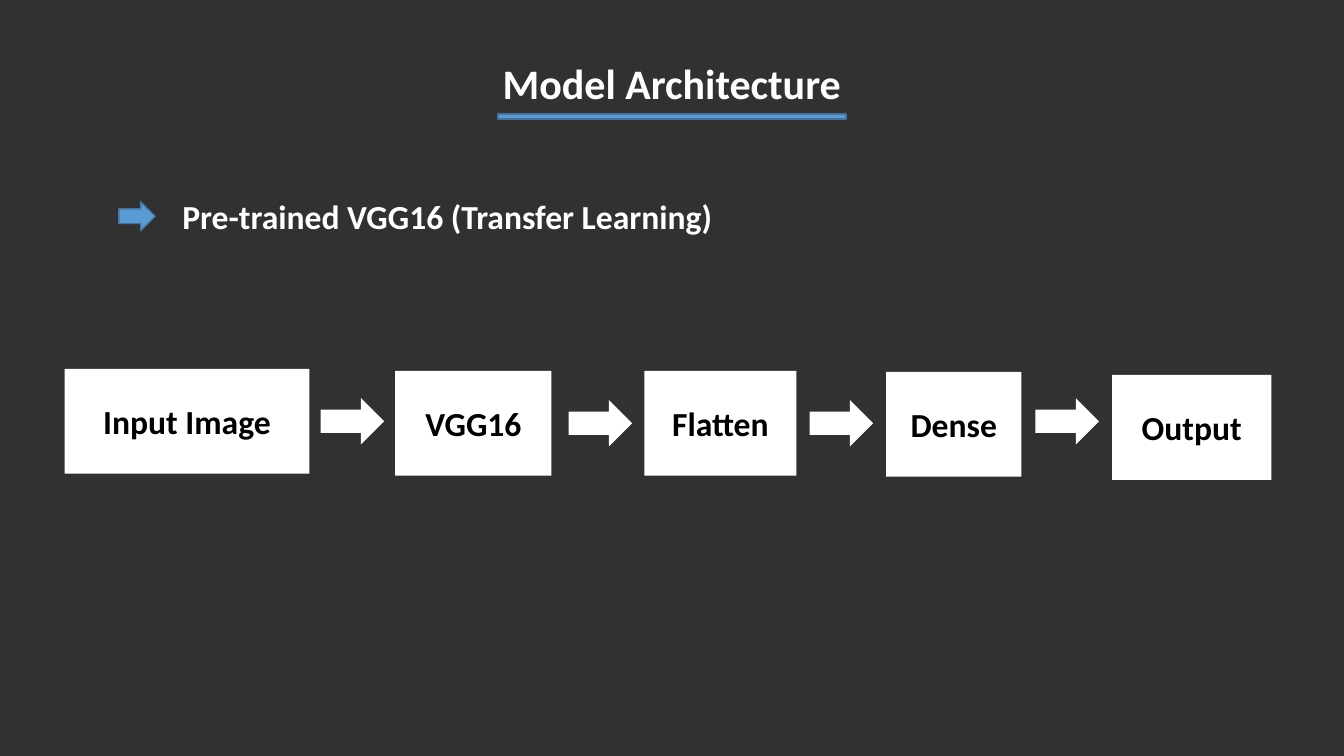
from lxml import etree
from pptx import Presentation
from pptx.dml.color import RGBColor
from pptx.enum.shapes import MSO_SHAPE as SHAPE
from pptx.enum.text import MSO_ANCHOR as ANCHOR, PP_ALIGN as ALIGN
from pptx.oxml.ns import qn
from pptx.util import Inches, Pt

WHITE = RGBColor(0xFF, 0xFF, 0xFF)
BLACK = RGBColor(0x00, 0x00, 0x00)
DARK = RGBColor(0x26, 0x26, 0x26)
BLUE = RGBColor(0x5B, 0x9B, 0xD5)
EDGE = RGBColor(0x43, 0x73, 0x9E)

SLIDE_W, SLIDE_H = 13.33, 7.5
BOX_H = 1.04
ARROW_W, ARROW_H = 0.63, 0.46

# Label, left, top and width, relative to the pipeline
STAGES = [
    ("Input Image", 0, 0, 2.43),
    ("VGG16", 3.28, 0.02, 1.55),
    ("Flatten", 5.75, 0.02, 1.51),
    ("Dense", 8.15, 0.03, 1.34),
    ("Output", 10.39, 0.06, 1.58),
]
# Left and top of the arrows between the stages
ARROWS = [(2.54, 0.29), (5, 0.31), (7.39, 0.31), (9.63, 0.29)]


def add_block(shapes, kind, x, y, w, h, fill, line=None):
    s = shapes.add_shape(kind, Inches(x), Inches(y), Inches(w), Inches(h))
    s.shadow.inherit = False
    s.fill.solid()
    s.fill.fore_color.rgb = fill
    if line is None:
        s.line.fill.background()
    else:
        s.line.color.rgb = line
        s.line.width = Pt(1)
    return s


def set_text(s, text, size, color, align):
    tf = s.text_frame
    tf.word_wrap = True
    tf.text = text
    p = tf.paragraphs[0]
    p.alignment = align
    font = p.runs[0].font
    font.name, font.size, font.bold = "Calibri", Pt(size), True
    font.color.rgb = color


def add_label(shapes, text, x, y, w, h, size, align):
    s = shapes.add_textbox(Inches(x), Inches(y), Inches(w), Inches(h))
    set_text(s, text, size, WHITE, align)


def add_backdrop(shapes, x, y, w, h):
    s = add_block(shapes, SHAPE.RECTANGLE, x, y, w, h, DARK)
    color = s.fill._xPr.find(qn("a:solidFill"))[0]
    etree.SubElement(color, qn("a:alpha"), val="95000")


def add_title(shapes, x, y, w, h):
    add_label(shapes, "Model Architecture", x, y, w, h, 30, ALIGN.CENTER)
    # Underline, centred below the title
    line_w = 3.45
    add_block(shapes, SHAPE.RECTANGLE, x + (w - line_w) / 2, y + h + 0.01,
              line_w, 0.05, BLUE, EDGE)


def add_point(shapes, x, y, w, h):
    group = shapes.add_group_shape().shapes
    add_block(group, SHAPE.RIGHT_ARROW, x, y + 0.11, 0.36, 0.29, BLUE, EDGE)
    add_label(group, "Pre-trained VGG16 (Transfer Learning)",
              x + 0.53, y, w - 0.53, h, 24, ALIGN.LEFT)


def add_pipeline(shapes, x, y):
    group = shapes.add_group_shape().shapes
    for label, left, top, w in STAGES:
        s = add_block(group, SHAPE.RECTANGLE, x + left, y + top, w, BOX_H, WHITE)
        set_text(s, label, 24, BLACK, ALIGN.CENTER)
        s.text_frame.vertical_anchor = ANCHOR.MIDDLE
    for left, top in ARROWS:
        add_block(group, SHAPE.RIGHT_ARROW, x + left, y + top,
                  ARROW_W, ARROW_H, WHITE)


def main():
    prs = Presentation()
    prs.slide_width, prs.slide_height = Inches(SLIDE_W), Inches(SLIDE_H)
    shapes = prs.slides.add_slide(prs.slide_layouts[6]).shapes
    add_backdrop(shapes, 0, 0, SLIDE_W, SLIDE_H)
    add_title(shapes, 0, 0.52, SLIDE_W, 0.6)
    add_point(shapes, 1.18, 1.89, 9.3, 0.5)
    add_pipeline(shapes, 0.64, 3.66)
    prs.save("out.pptx")


if __name__ == "__main__":
    main()
